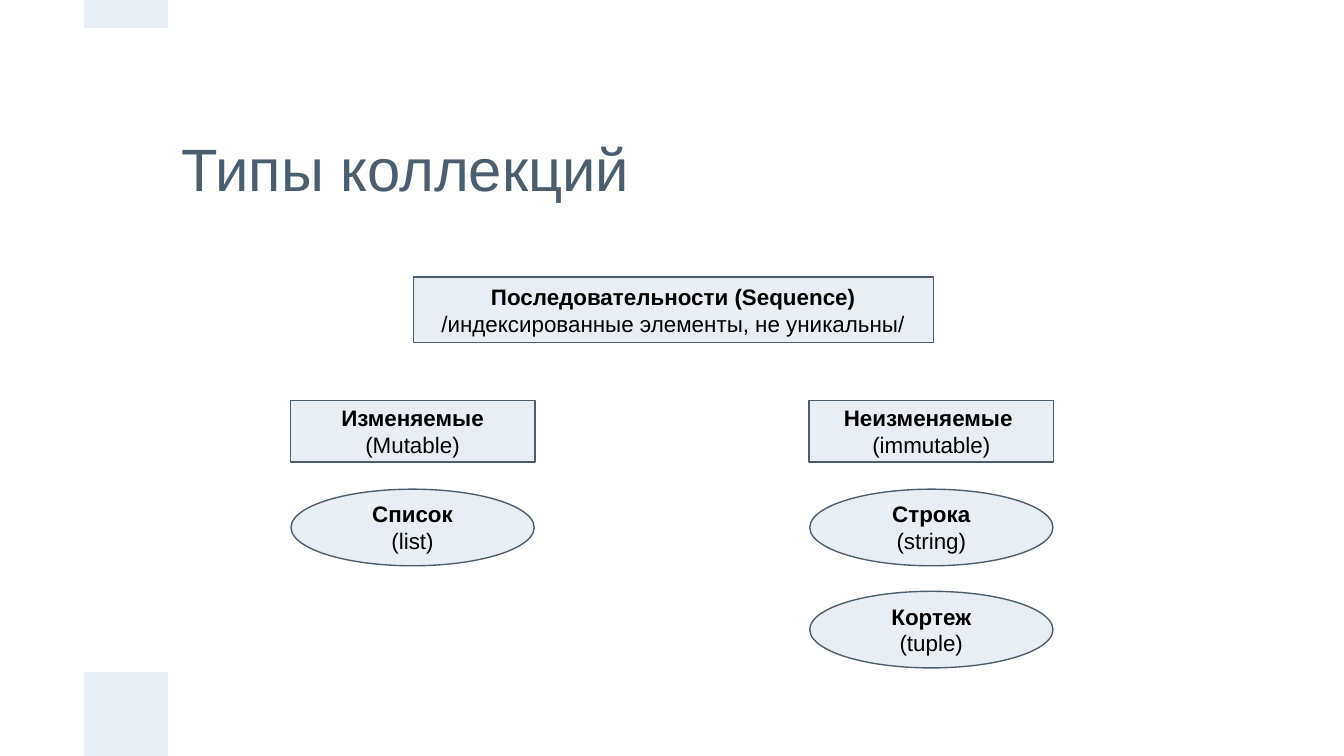
from pptx import Presentation
from pptx.dml.color import RGBColor
from pptx.enum.shapes import MSO_SHAPE
from pptx.enum.text import MSO_ANCHOR, PP_ALIGN
from pptx.util import Inches, Pt

RECTANGLE, ELLIPSE = MSO_SHAPE.RECTANGLE, MSO_SHAPE.OVAL
MIDDLE = MSO_ANCHOR.MIDDLE
LEFT, CENTER = PP_ALIGN.LEFT, PP_ALIGN.CENTER
PALE = RGBColor(0xE9, 0xED, 0xF4)
SLATE = RGBColor(0x4C, 0x5D, 0x6E)
BLACK = RGBColor(0, 0, 0)
FONT = "Arial"

TITLE = "Типы коллекций"
ROOT = ("Последовательности (Sequence)", "/индексированные элементы, не уникальны/")
BRANCHES = [
    (("Изменяемые", "(Mutable)"), [("Список", "(list)")]),
    (("Неизменяемые ", "(immutable)"), [("Строка", "(string)"), ("Кортеж", "(tuple)")]),
]

SLIDE_WIDTH = 10
UNIT = SLIDE_WIDTH / 16
SLIDE_HEIGHT = 9 * UNIT
ROOT_CENTER, ROOT_TOP, ROOT_WIDTH, ROOT_HEIGHT = 5.01, 2.06, 3.87, 0.49
BRANCH_TOP, BRANCH_WIDTH, BRANCH_HEIGHT = 2.98, 1.82, 0.46
BRANCH_CENTER, BRANCH_PITCH = 3.07, 3.86
TYPE_TOP, TYPE_WIDTH, TYPE_HEIGHT, TYPE_PITCH = 3.64, 1.81, 0.57, 0.76


def add_filled(page, kind, left, top, width, height):
    shape = page.shapes.add_shape(
        kind, Inches(left), Inches(top), Inches(width), Inches(height))
    shape.shadow.inherit = False
    shape.fill.solid()
    shape.fill.fore_color.rgb = PALE
    shape.line.fill.background()
    return shape


def format_frame(frame):
    frame.word_wrap = True
    frame.vertical_anchor = MIDDLE
    frame.margin_left = frame.margin_right = Inches(0.1)
    frame.margin_top = frame.margin_bottom = Inches(0.1)


def format_para(para, size, color, align, bold=False):
    para.alignment = align
    for span in para.runs:
        span.font.name = FONT
        span.font.size = Pt(size)
        span.font.bold = bold
        span.font.color.rgb = color


def add_node(page, kind, lines, center, top, width, height):
    """Add an outlined shape with a bold name above a plain note."""
    node = add_filled(page, kind, center - width / 2, top, width, height)
    node.line.color.rgb = SLATE
    node.line.width = Pt(0.75)
    frame = node.text_frame
    format_frame(frame)
    frame.text = "\n".join(lines)
    for row, para in enumerate(frame.paragraphs):
        format_para(para, 12, BLACK, CENTER, bold=row == 0)


deck = Presentation()
deck.slide_width, deck.slide_height = Inches(SLIDE_WIDTH), Inches(SLIDE_HEIGHT)
page = deck.slides.add_slide(deck.slide_layouts[5])

add_filled(page, RECTANGLE, UNIT, SLIDE_HEIGHT - UNIT, UNIT, UNIT)
add_filled(page, RECTANGLE, UNIT, 0, UNIT, UNIT / 3)

title = page.shapes.title
title.left, title.top = Inches(2 * UNIT), Inches(UNIT)
title.width, title.height = Inches(12 * UNIT), Inches(2 * UNIT)
title.text_frame.text = TITLE
format_frame(title.text_frame)
format_para(title.text_frame.paragraphs[0], 32, SLATE, LEFT)

add_node(page, RECTANGLE, ROOT, ROOT_CENTER, ROOT_TOP, ROOT_WIDTH, ROOT_HEIGHT)
for column, (branch, types) in enumerate(BRANCHES):
    center = BRANCH_CENTER + column * BRANCH_PITCH
    add_node(page, RECTANGLE, branch, center, BRANCH_TOP, BRANCH_WIDTH, BRANCH_HEIGHT)
    for row, lines in enumerate(types):
        add_node(page, ELLIPSE, lines, center, TYPE_TOP + row * TYPE_PITCH,
                 TYPE_WIDTH, TYPE_HEIGHT)

deck.save("out.pptx")
